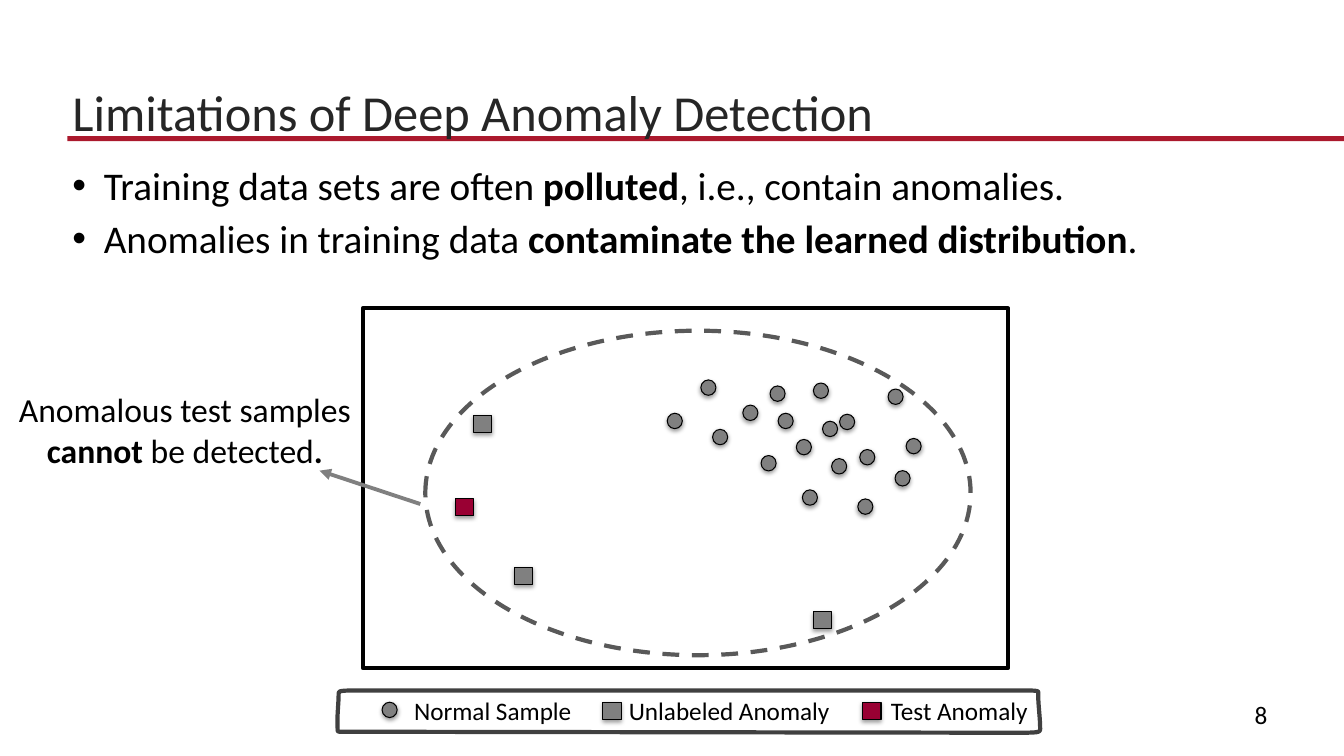
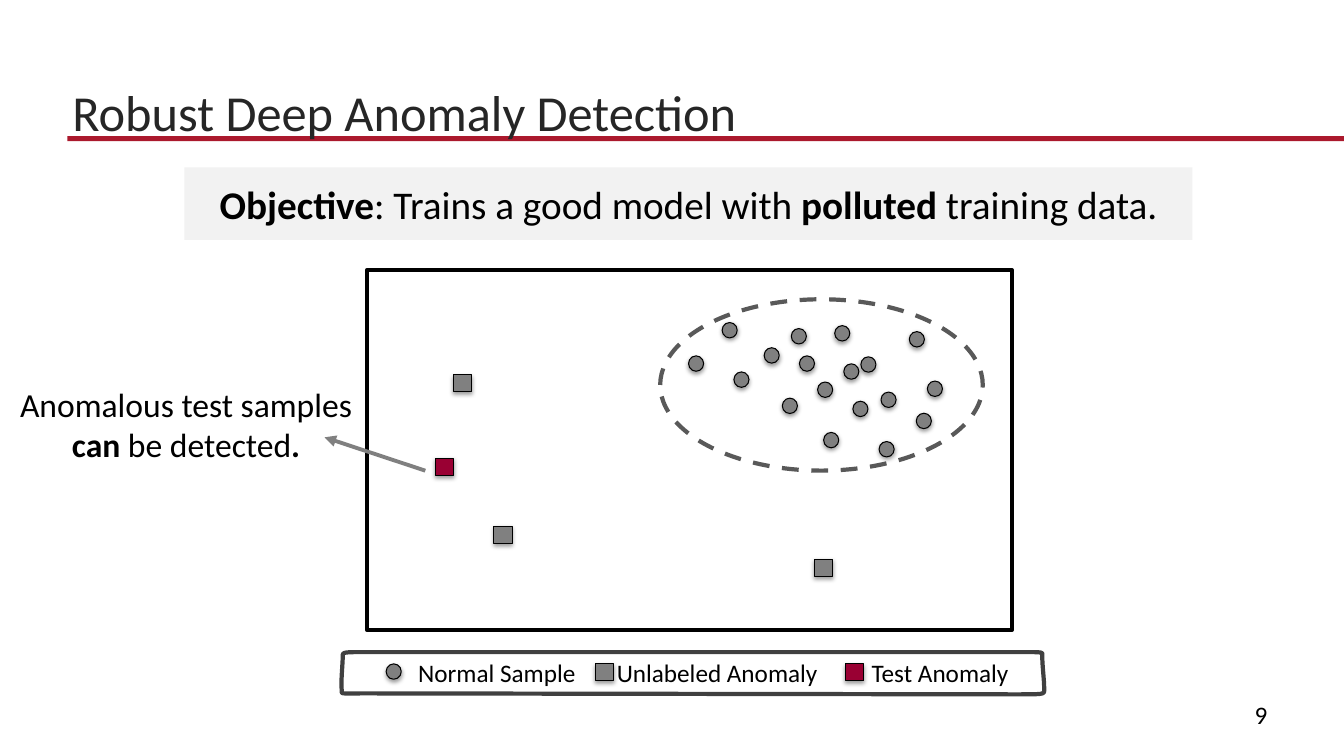
from dataclasses import dataclass
from typing import Any, NamedTuple

from lxml import etree
from pptx import Presentation
from pptx.dml.color import RGBColor
from pptx.enum.dml import MSO_LINE
from pptx.enum.shapes import MSO_CONNECTOR, MSO_SHAPE
from pptx.enum.text import MSO_ANCHOR, PP_ALIGN
from pptx.oxml.ns import qn
from pptx.util import Pt

RECTANGLE, OVAL = MSO_SHAPE.RECTANGLE, MSO_SHAPE.OVAL
STRAIGHT, DASH = MSO_CONNECTOR.STRAIGHT, MSO_LINE.DASH
TOP, MIDDLE, BOTTOM = MSO_ANCHOR.TOP, MSO_ANCHOR.MIDDLE, MSO_ANCHOR.BOTTOM
LEFT, CENTER = PP_ALIGN.LEFT, PP_ALIGN.CENTER


@dataclass(frozen=True)
class Theme:
    font: str = "Calibri"
    rule: str = "AB192D"
    title: str = "262626"
    ink: str = "000000"
    sample: str = "808080"
    test: str = "990033"
    boundary: str = "595959"
    legend: str = "404040"
    banner: str = "F2F2F2"
    title_size: float = 36
    body_size: float = 28
    callout_size: float = 24
    label_size: float = 18
    thin: float = 0.75
    arrow: float = 2.75
    thick: float = 3


THEME = Theme()


class Point(NamedTuple):
    x: float
    y: float

    def shift(self, x: float, y: float) -> "Point":
        return Point(self.x + x, self.y + y)


class Frame(NamedTuple):
    left: float
    top: float
    width: float
    height: float

    def lengths(self) -> list[Pt]:
        return [Pt(value) for value in self]


class Span(NamedTuple):
    text: str
    bold: bool = False


class Marker(NamedTuple):
    shape: Any
    width: float
    height: float
    fill: str


@dataclass(frozen=True)
class LegendEntry:
    marker: Marker
    label: str
    marker_x: float
    label_x: float
    label_width: float = 144


@dataclass(frozen=True)
class Scene:
    plot: Point
    cluster: Point
    boundary: Frame
    test: Point
    unlabeled: list[Point]
    callout: Point
    verdict: str
    arrow_start: Point
    legend: Point
    unlabeled_entry: tuple[float, float]
    test_entry: tuple[float, float]


NORMAL = Marker(OVAL, 10.8, 11, THEME.sample)
UNLABELED = Marker(RECTANGLE, 13, 12.2, THEME.sample)
TEST = Marker(RECTANGLE, 13, 12.2, THEME.test)

# Sample positions measured from the corner of the cluster
CLUSTER = [
    Point(24, 0), Point(117.4, 56.2), Point(32.4, 35.3), Point(54, 18),
    Point(79.2, 23.8), Point(67, 54), Point(137.5, 49.7), Point(110.9, 29.5),
    Point(136.1, 85), Point(123.1, 24.5), Point(96.5, 78.5), Point(92.2, 42.5),
    Point(104.4, 2.2), Point(0, 23.8), Point(73.4, 4.3), Point(157.7, 6.5),
    Point(170.6, 41.8), Point(162.7, 64.8),
]

# Hand-drawn legend border: two numbers are a line, six a cubic curve
LEGEND_START = Point(0.7, 2.9)
LEGEND_BORDER = [
    (0.7, 0, 0.7, 0, 18.7, 0),
    (485.3, 0),
    (502.6, 0, 500.4, 0, 500.4, 2.9),
    (500.4, 10.8, 501.8, 19.4, 501.8, 27.4),
    (501.8, 30.2, 500.4, 30.2, 483.1, 30.2),
    (15.8, 29.5),
    (-1.4, 29.5, 0, 30.2, 0, 27.4),
    (-0.7, 20.2, 0.7, 10.1, 0.7, 2.9),
]
CURVE_STEPS = 8

POLLUTED = Scene(
    plot=Point(259.2, 220.3), cluster=Point(476.6, 271.4),
    boundary=Frame(303.8, 236.2, 389.5, 231.8), test=Point(325.4, 356.4),
    unlabeled=[Point(338.4, 296.6), Point(367.2, 405.4), Point(581, 437)],
    callout=Point(5, 271.4), verdict="cannot", arrow_start=Point(300.2, 360),
    legend=Point(241.2, 493.2),
    unlabeled_entry=(189.4, 200.9), test_entry=(375.1, 388.1),
)
ROBUST = Scene(
    plot=Point(262.1, 193), cluster=Point(491.8, 230.4),
    boundary=Frame(471.6, 213.8, 230.4, 122.4), test=Point(311, 327.6),
    unlabeled=[Point(324, 267.8), Point(352.8, 375.8), Point(581.8, 399.6)],
    callout=Point(5.8, 267.8), verdict="can", arrow_start=Point(303.8, 336.2),
    legend=Point(244.1, 465.8),
    unlabeled_entry=(181.4, 189.4), test_entry=(360, 371.5),
)


def color(value: str) -> RGBColor:
    return RGBColor.from_string(value)


def style(shape: Any, fill: str | None = None, line: str | None = None,
          width: float = 0) -> None:
    shape.shadow.inherit = False
    if fill:
        shape.fill.solid()
        shape.fill.fore_color.rgb = color(fill)
    else:
        shape.fill.background()
    if line:
        shape.line.color.rgb = color(line)
        shape.line.width = Pt(width)
    else:
        shape.line.fill.background()


def add_bullet(para: Any) -> None:
    properties = para._p.get_or_add_pPr()
    properties.set("marL", str(Pt(22.5)))
    properties.set("indent", str(Pt(-22.5)))
    etree.SubElement(properties, qn("a:buFont"), typeface="Arial")
    etree.SubElement(properties, qn("a:buChar"), char="•")


def write(box: Any, paras: list[list[Span]], size: float, ink: str = THEME.ink,
          anchor: Any = TOP, align: Any = LEFT, wrap: bool = True,
          bullets: bool = False, gap: float = 0) -> None:
    frame = box.text_frame
    frame.word_wrap = wrap
    frame.vertical_anchor = anchor
    for index, spans in enumerate(paras):
        para = frame.paragraphs[0] if index == 0 else frame.add_paragraph()
        para.alignment = align
        if index:
            para.space_before = Pt(gap)
        if bullets:
            add_bullet(para)
        for span in spans:
            run = para.add_run()
            run.text = span.text
            formats = {"name": THEME.font, "size": Pt(size), "bold": span.bold}
            for name, value in formats.items():
                setattr(run.font, name, value)
            run.font.color.rgb = color(ink)


def add_text(shapes: Any, frame: Frame, paras: list[list[Span]], size: float,
             **options: Any) -> Any:
    box = shapes.add_textbox(*frame.lengths())
    write(box, paras, size, **options)
    return box


def add_marker(shapes: Any, marker: Marker, at: Point) -> None:
    frame = Frame(at.x, at.y, marker.width, marker.height)
    shape = shapes.add_shape(marker.shape, *frame.lengths())
    style(shape, marker.fill, THEME.ink, THEME.thin)
    effects = shape._element.spPr.find(qn("a:effectLst"))
    shadow = etree.SubElement(
        effects, qn("a:outerShdw"), blurRad=str(Pt(3.1)), dist=str(Pt(1.6)),
        dir="5400000", rotWithShape="0")
    tint = etree.SubElement(shadow, qn("a:srgbClr"), val=THEME.ink)
    etree.SubElement(tint, qn("a:alpha"), val="38000")


def trace_border(origin: Point) -> list[tuple[Pt, Pt]]:
    """Return the legend border as points, with its curves sampled."""
    points = [LEGEND_START]
    for segment in LEGEND_BORDER:
        if len(segment) == 2:
            points.append(Point(*segment))
            continue
        start = points[-1]
        for step in range(1, CURVE_STEPS + 1):
            t = step / CURVE_STEPS
            weights = ((1 - t) ** 3, 3 * t * (1 - t) ** 2, 3 * t * t * (1 - t), t ** 3)
            points.append(Point(
                sum(w * x for w, x in zip(weights, (start.x, *segment[::2]))),
                sum(w * y for w, y in zip(weights, (start.y, *segment[1::2])))))
    return [(Pt(origin.x + point.x), Pt(origin.y + point.y)) for point in points]


def add_legend(page: Any, scene: Scene) -> None:
    shapes = page.shapes.add_group_shape().shapes
    start, *rest = trace_border(scene.legend)
    builder = shapes.build_freeform(*start)
    builder.add_line_segments(rest, close=True)
    style(builder.convert_to_shape(), line=THEME.legend, width=THEME.thick)
    entries = [
        LegendEntry(NORMAL, "Normal Sample", 31.7, 47.5),
        LegendEntry(UNLABELED, "Unlabeled Anomaly", *scene.unlabeled_entry, 163.4),
        LegendEntry(TEST, "Test Anomaly", *scene.test_entry),
    ]
    for entry in entries:
        add_marker(shapes, entry.marker, scene.legend.shift(entry.marker_x, 8.4))
        label = scene.legend.shift(entry.label_x, 0)
        add_text(shapes, Frame(*label, entry.label_width, 29.2),
                 [[Span(entry.label)]], THEME.label_size, wrap=False)


def add_callout(page: Any, scene: Scene) -> None:
    shapes = page.shapes.add_group_shape().shapes
    spans = [Span("Anomalous test samples "), Span(scene.verdict, True),
             Span(" be detected"), Span(".", True)]
    box = add_text(shapes, Frame(*scene.callout, 254.2, 70.6), [spans],
                   THEME.callout_size, anchor=MIDDLE, align=CENTER)
    box.text_frame.margin_left = box.text_frame.margin_right = Pt(3)
    tip = scene.arrow_start.shift(-72, -23.8)
    arrow = shapes.add_connector(
        STRAIGHT, *(Pt(value) for value in (*scene.arrow_start, *tip)))
    arrow.line.color.rgb = color(THEME.sample)
    arrow.line.width = Pt(THEME.arrow)
    etree.SubElement(arrow.line._get_or_add_ln(), qn("a:tailEnd"), type="triangle")
    etree.SubElement(arrow._element.spPr, qn("a:effectLst"))


def add_scene(page: Any, scene: Scene) -> None:
    shapes = page.shapes
    plot = shapes.add_shape(RECTANGLE, *Frame(*scene.plot, 460.8, 257).lengths())
    style(plot, line=THEME.ink, width=THEME.thick)
    boundary = shapes.add_shape(OVAL, *scene.boundary.lengths())
    style(boundary, line=THEME.boundary, width=THEME.thick)
    boundary.line.dash_style = DASH
    for sample in CLUSTER:
        add_marker(shapes, NORMAL, scene.cluster.shift(*sample))
    for anomaly in scene.unlabeled:
        add_marker(shapes, UNLABELED, anomaly)
    add_marker(shapes, TEST, scene.test)
    add_callout(page, scene)
    add_legend(page, scene)


def add_page(deck: Any, title: str, number: int, scene: Scene) -> Any:
    page = deck.slides.add_slide(deck.slide_layouts[6])
    rule = page.shapes.add_shape(RECTANGLE, *Frame(48.2, 97.2, 911.8, 3.6).lengths())
    style(rule, THEME.rule)
    add_text(page.shapes, Frame(44.6, 43.9, 894.2, 60.5), [[Span(title)]],
             THEME.title_size, ink=THEME.title, anchor=BOTTOM)
    add_scene(page, scene)
    add_text(page.shapes, Frame(889.2, 489.6, 57.6, 41), [[Span(str(number))]],
             THEME.label_size, anchor=MIDDLE)
    return page


def main() -> None:
    deck = Presentation()
    deck.slide_width, deck.slide_height = Pt(960), Pt(540)

    page = add_page(deck, "Limitations of Deep Anomaly Detection", 8, POLLUTED)
    add_text(page.shapes, Frame(44.6, 111.5, 884.2, 79), [
        [Span("Training data sets are often "), Span("polluted", True),
         Span(", i.e., contain anomalies.")],
        [Span("Anomalies in training data "),
         Span("contaminate the learned distribution", True), Span(".")],
    ], THEME.body_size, bullets=True, gap=4.4)

    page = add_page(deck, "Robust Deep Anomaly Detection", 9, ROBUST)
    banner = page.shapes.add_shape(RECTANGLE, *Frame(131.8, 119.5, 720, 51.8).lengths())
    style(banner, THEME.banner)
    write(banner, [[Span("Objective", True), Span(": Trains a good model with "),
                    Span("polluted", True), Span(" training data.")]],
          THEME.body_size, anchor=MIDDLE, align=CENTER)
    deck.save("out.pptx")


if __name__ == "__main__":
    main()
